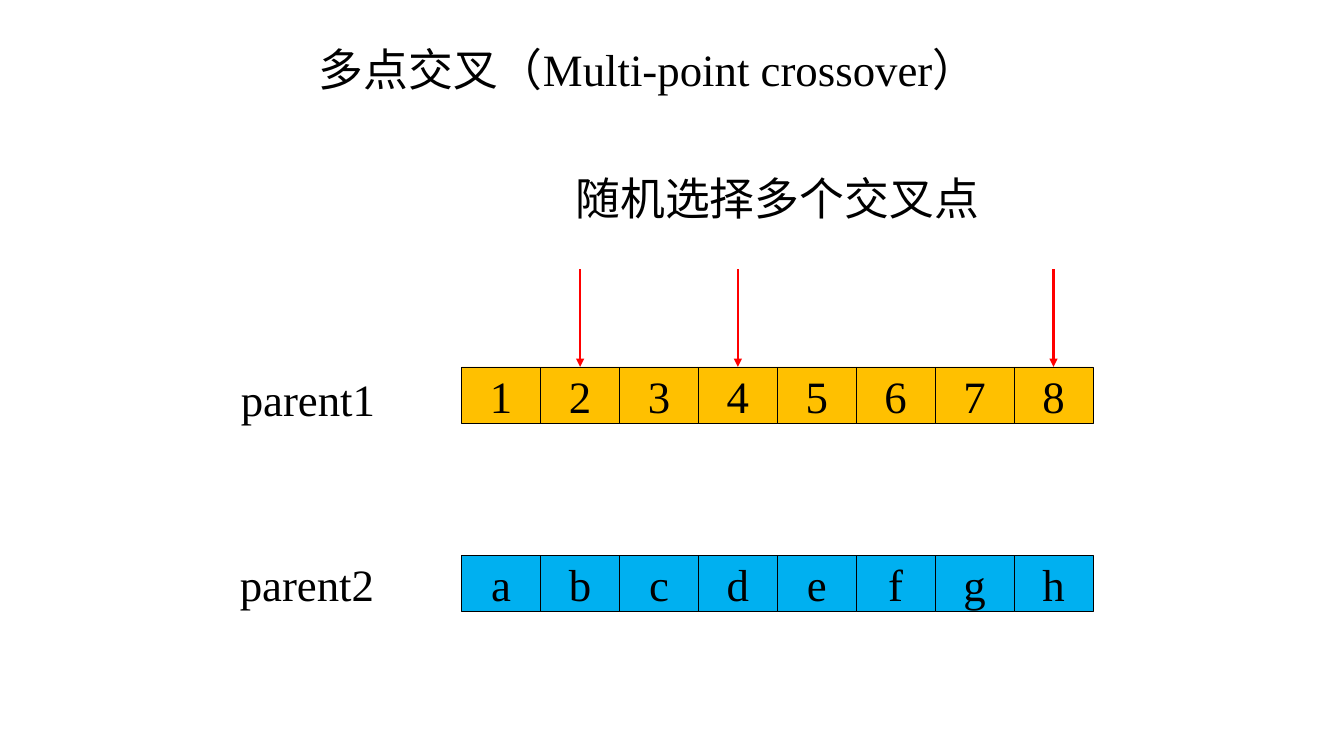
from dataclasses import dataclass

from lxml import etree
from pptx import Presentation, util as u
from pptx.dml.color import RGBColor
from pptx.enum import shapes, text
from pptx.oxml import ns

COLORS = {"ink": "000000", "gold": "FFC000", "blue": "00B0F0", "arrow": "FF0000"}
FONT = "Times New Roman"
SLIDE_W, SLIDE_H = 13.33, 7.5
GRID_LEFT, GRID_W, COLUMNS = 4.58, 6.26, 8
COL_W, CELL_H = GRID_W / COLUMNS, 0.56
TEXT_H = 0.64
ARROW_TOP = 2.67
CROSS_POINTS = (2, 4, 8)


@dataclass(frozen=True)
class Parent:
    name: str
    genes: str
    color: str
    top: float
    label_left: float
    label_top: float


PARENTS = (
    Parent("parent1", "12345678", "gold", 3.64, 2.29, 3.64),
    Parent("parent2", "abcdefgh", "blue", 5.51, 2.28, 5.47),
)


def rgb(name: str) -> RGBColor:
    return RGBColor.from_string(COLORS[name])


def box(left: float, top: float, width: float, height: float) -> list:
    return [u.Inches(v) for v in (left, top, width, height)]


def write(sp, content: str, *, size=32, color="ink", align=text.PP_ALIGN.LEFT,
          anchor=text.MSO_ANCHOR.TOP, fit=text.MSO_AUTO_SIZE.SHAPE_TO_FIT_TEXT) -> None:
    tf = sp.text_frame
    tf.word_wrap = True
    tf.auto_size = fit
    tf.vertical_anchor = anchor
    p = tf.paragraphs[0]
    p.alignment = align
    r = p.add_run()
    r.text = content
    r.font.size = u.Pt(size)
    r.font.name = FONT
    r.font.color.rgb = rgb(color)


def add_label(slide, content: str, left: float, top: float, width: float) -> None:
    write(slide.shapes.add_textbox(*box(left, top, width, TEXT_H)), content)


def add_gene(slide, gene: str, column: int, parent: Parent) -> None:
    left = GRID_LEFT + column * COL_W
    sp = slide.shapes.add_shape(shapes.MSO_SHAPE.RECTANGLE,
                                *box(left, parent.top, COL_W, CELL_H))
    sp.shadow.inherit = False
    sp.fill.solid()
    sp.fill.fore_color.rgb = rgb(parent.color)
    sp.line.color.rgb = rgb("ink")
    sp.line.width = u.Pt(0.5)
    write(sp, gene, align=text.PP_ALIGN.CENTER, anchor=text.MSO_ANCHOR.MIDDLE,
          fit=text.MSO_AUTO_SIZE.NONE)


def add_parent(slide, parent: Parent) -> None:
    add_label(slide, parent.name, parent.label_left, parent.label_top, 1.66)
    for column, gene in enumerate(parent.genes):
        add_gene(slide, gene, column, parent)


def add_arrow(slide, point: int) -> None:
    x = GRID_LEFT + (point - 0.5) * COL_W
    sp = slide.shapes.add_connector(shapes.MSO_CONNECTOR.STRAIGHT,
                                    *box(x, ARROW_TOP, x, PARENTS[0].top))
    sp.line.color.rgb = rgb("arrow")
    sp.line.width = u.Pt(1.5)
    etree.SubElement(sp.line._get_or_add_ln(), ns.qn("a:tailEnd"), type="triangle")
    etree.SubElement(sp._element.spPr, ns.qn("a:effectLst"))


prs = Presentation()
prs.slide_width, prs.slide_height = u.Inches(SLIDE_W), u.Inches(SLIDE_H)
slide = prs.slides.add_slide(prs.slide_layouts[5])

title = slide.shapes.title
title.left, title.top, title.width, title.height = box(3.06, 0.36, 6.75, TEXT_H)
write(title, "多点交叉（Multi-point crossover）")
add_label(slide, "随机选择多个交叉点", 5.61, 1.64, 4.24)

for parent in PARENTS:
    add_parent(slide, parent)
for point in CROSS_POINTS:
    add_arrow(slide, point)

prs.save("out.pptx")
